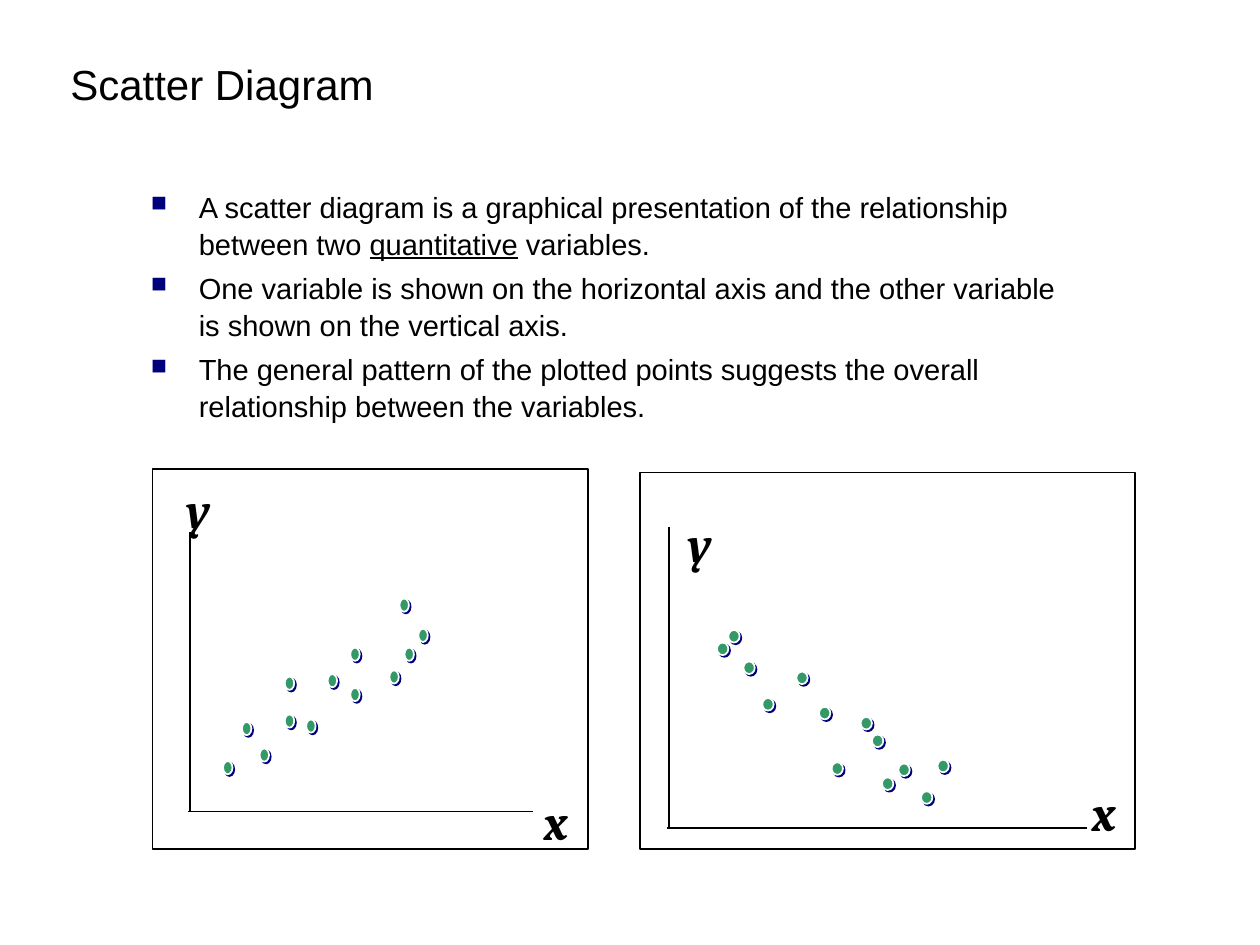
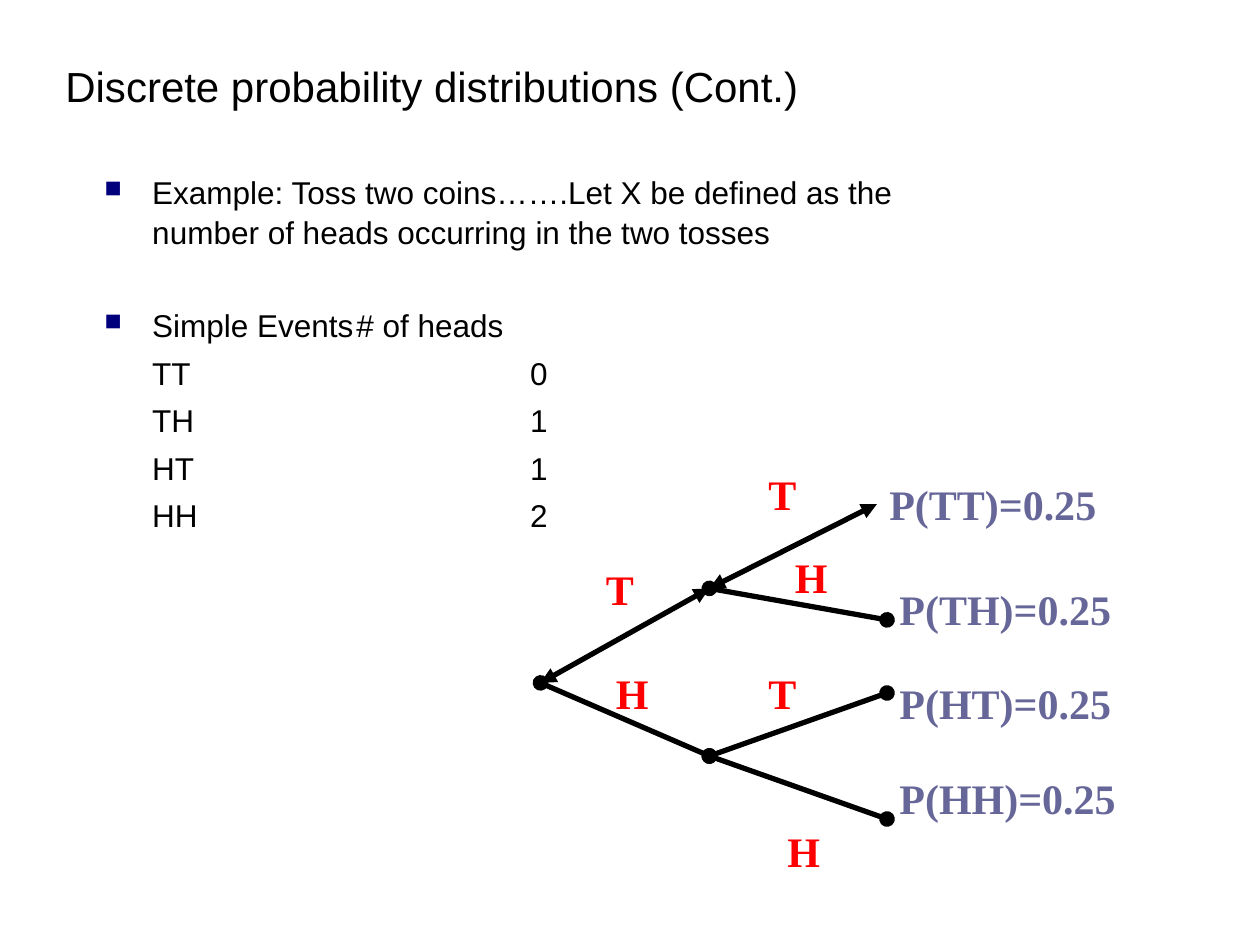
from dataclasses import dataclass
from typing import NamedTuple

from lxml.etree import SubElement
from pptx import Presentation
from pptx.dml.color import RGBColor
from pptx.enum.shapes import MSO_CONNECTOR as Connector, MSO_SHAPE as Preset
from pptx.enum.text import MSO_ANCHOR as Anchor
from pptx.oxml.ns import qn
from pptx.util import Emu, Inches, Pt

CELL = Inches(0.1)  # the slide is a grid of 100 columns by 75 rows
COLUMNS, ROWS = 100, 75

BLACK, WHITE, NAVY = "000000", "FFFFFF", "00007D"
GREEN, RED, SLATE = "339966", "FF0000", "666699"
INDENT = 3.8
BULLET_GAP = 4.5


class Point(NamedTuple):
    col: float
    row: float


class Box(NamedTuple):
    col: float
    row: float
    width: float
    height: float


class Style(NamedTuple):
    font: str
    size: float
    color: str = BLACK
    bold: bool = False
    italic: bool = False


TITLE = Style("Arial", 24)
AXIS_NAME = Style("Cambria", 28, bold=True, italic=True)
OUTCOME = Style("Times New Roman", 24, RED, bold=True)
PROBABILITY = Style("Times New Roman", 24, SLATE, bold=True)


@dataclass
class Item:
    """A body paragraph; the part of its text equal to underlined is underlined."""
    text: str
    underlined: str = ""
    bullet: bool = True
    space_before: float = BULLET_GAP
    tabs: tuple[float, ...] = ()


@dataclass
class ScatterPlot:
    frame: Box
    y_top: Point
    y_bottom: Point
    x_left: Point
    x_right: Point
    y_name: Point
    x_name: Point
    dot_width: float
    dot_height: float
    dots: list[Point]


@dataclass
class Branch:
    start: Point
    end: Point
    tip: str
    outcome: str
    outcome_at: Point


PLOTS = [
    ScatterPlot(
        Box(12.1, 37.2, 34.6, 30.2),
        Point(15.1, 42.2), Point(15.1, 64.4), Point(14.9, 64.4), Point(42.3, 64.4),
        Point(13.8, 37.6), Point(42.2, 62.3), 0.75, 1.05,
        [Point(17.7, 60.4), Point(19.2, 57.3), Point(20.6, 59.4), Point(22.6, 53.7),
         Point(22.6, 56.7), Point(24.3, 57.1), Point(26, 53.5), Point(27.8, 51.4),
         Point(27.8, 54.6), Point(30.9, 53.2), Point(31.7, 47.5), Point(32.1, 51.4),
         Point(33.2, 49.9)]),
    ScatterPlot(
        Box(50.8, 37.5, 39.3, 29.9),
        Point(53.1, 41.8), Point(53.1, 65.6), Point(52.9, 65.7), Point(86.3, 65.7),
        Point(53.6, 40.3), Point(85.7, 61.6), 0.9, 1,
        [Point(56.9, 51), Point(57.8, 50), Point(59, 52.5), Point(60.5, 55.4),
         Point(63.2, 53.3), Point(65, 56.1), Point(66, 60.5), Point(68.3, 56.9),
         Point(69.2, 58.3), Point(70, 61.7), Point(71.3, 60.6), Point(73.1, 62.8),
         Point(74.4, 60.3)]),
]

SCATTER_ITEMS = [
    Item("A scatter diagram is a graphical presentation of the relationship "
         "between two quantitative variables.", "quantitative", space_before=0),
    Item("One variable is shown on the horizontal axis and the other variable "
         "is shown on the vertical axis."),
    Item("The general pattern of the plotted points suggests the overall "
         "relationship between the variables."),
]

HEADS = {"TT": 0, "TH": 1, "HT": 1, "HH": 2}
HEADS_TABS = tuple(INDENT + 10 * step for step in range(4))
COIN_ITEMS = [
    Item("Example: Toss two coins…….Let X be defined as the number of heads "
         "occurring in the two tosses", space_before=0),
    Item("Simple Events\t# of heads", space_before=30.6, tabs=(16.2, 20)),
    *(Item(f"\t{event}\t\t\t{count}", bullet=False, tabs=HEADS_TABS)
      for event, count in HEADS.items()),
]

ROOT, FIRST_TAIL, FIRST_HEAD = Point(42.9, 54.2), Point(56.3, 46.7), Point(56.3, 60)
BRANCHES = [
    Branch(ROOT, FIRST_TAIL, "triangle", "T", Point(47.1, 44.2)),
    Branch(FIRST_TAIL, Point(69.6, 40), "triangle", "T", Point(60, 36.7)),
    Branch(FIRST_TAIL, Point(70.4, 49.2), "oval", "H", Point(62.1, 43.3)),
    Branch(FIRST_HEAD, Point(70.4, 65), "oval", "H", Point(61.5, 65)),
    Branch(ROOT, FIRST_HEAD, "oval", "H", Point(47.9, 52.5)),
    Branch(FIRST_HEAD, Point(70.4, 55), "oval", "T", Point(60, 52.5)),
]
PROBABILITY_AT = {"TT": Point(69.6, 37.5), "TH": Point(70.4, 45.8),
                  "HT": Point(70.4, 53.3), "HH": Point(70.4, 60.8)}


def cells(count: float) -> Emu:
    return Emu(round(count * CELL))


def rgb(color: str) -> RGBColor:
    return RGBColor.from_string(color)


def format_run(run, style: Style) -> None:
    font = run.font
    font.name, font.size = style.font, Pt(style.size)
    font.bold, font.italic = style.bold, style.italic
    font.color.rgb = rgb(style.color)


def add_frame(slide, box: Box):
    frame = slide.shapes.add_textbox(*map(cells, box)).text_frame
    frame.word_wrap = True
    return frame


def add_label(slide, text: str, box: Box, style: Style):
    frame = add_frame(slide, box)
    frame.text = text
    format_run(frame.paragraphs[0].runs[0], style)
    return frame


def add_title(slide, text: str, box: Box) -> None:
    add_label(slide, text, box, TITLE).vertical_anchor = Anchor.MIDDLE


def set_bullet_and_tabs(paragraph, item: Item) -> None:
    props = paragraph._p.get_or_add_pPr()
    if item.bullet:
        props.set("marL", str(cells(INDENT)))
        props.set("indent", str(-cells(INDENT)))
        color = SubElement(props, qn("a:buClr"))
        SubElement(color, qn("a:srgbClr"), val=NAVY)
        SubElement(props, qn("a:buSzPct"), val="75000")
        SubElement(props, qn("a:buChar"), char="■")
    if item.tabs:
        stops = SubElement(props, qn("a:tabLst"))
        for stop in item.tabs:
            SubElement(stops, qn("a:tab"), pos=str(cells(stop)), algn="l")


def add_body(slide, items: list[Item], box: Box, size: float) -> None:
    frame = add_frame(slide, box)
    for index, item in enumerate(items):
        paragraph = frame.add_paragraph() if index else frame.paragraphs[0]
        set_bullet_and_tabs(paragraph, item)
        paragraph.line_spacing = 1.05
        paragraph.space_before = Pt(item.space_before)
        parts = item.text.partition(item.underlined) if item.underlined else (item.text,)
        for part in parts:
            run = paragraph.add_run()
            run.text = part
            format_run(run, Style("Arial", size))
            if part == item.underlined:
                run.font.underline = True


def add_line(slide, start: Point, end: Point, width: float, tip: str = "") -> None:
    line = slide.shapes.add_connector(Connector.STRAIGHT, *map(cells, (*start, *end)))
    line.line.color.rgb = rgb(BLACK)
    line.line.width = Pt(width)
    props = line._element.spPr
    if tip:
        for tag in ("a:headEnd", "a:tailEnd"):
            SubElement(props.find(qn("a:ln")), qn(tag), type=tip)
    SubElement(props, qn("a:effectLst"))


def add_shape(slide, preset: Preset, box: Box, line: str, fill: str = ""):
    shape = slide.shapes.add_shape(preset, *map(cells, box))
    shape.shadow.inherit = False
    if fill:
        shape.fill.solid()
        shape.fill.fore_color.rgb = rgb(fill)
    else:
        shape.fill.background()
    shape.line.color.rgb = rgb(line)
    shape.line.width = Pt(1)
    return shape


def add_dot(slide, box: Box) -> None:
    dot = add_shape(slide, Preset.OVAL, box, WHITE, GREEN)
    effects = dot._element.spPr.find(qn("a:effectLst"))
    shadow = SubElement(effects, qn("a:outerShdw"), dist=str(Pt(1.4)),
                        dir=str(45 * 60000), algn="ctr", rotWithShape="0")
    SubElement(shadow, qn("a:srgbClr"), val=NAVY)


def add_plot(slide, plot: ScatterPlot) -> None:
    add_shape(slide, Preset.RECTANGLE, plot.frame, BLACK)
    add_line(slide, plot.y_top, plot.y_bottom, 1)
    add_line(slide, plot.x_right, plot.x_left, 1)
    for name, at in (("x", plot.x_name), ("y", plot.y_name)):
        add_label(slide, name, Box(*at, 5, 5.6), AXIS_NAME)
    for dot in plot.dots:
        add_dot(slide, Box(*dot, plot.dot_width, plot.dot_height))


def build_scatter_slide(slide) -> None:
    add_title(slide, "Scatter Diagram", Box(4.6, 3.5, 90, 6.3))
    add_body(slide, SCATTER_ITEMS, Box(11, 14.4, 75.3, 19.4), 16.6)
    for plot in PLOTS:
        add_plot(slide, plot)


def build_coin_slide(slide) -> None:
    add_title(slide, "Discrete probability distributions (Cont.)",
              Box(4.2, 3.9, 89.9, 5.8))
    add_body(slide, COIN_ITEMS, Box(7.3, 13.1, 71.2, 32.8), 18)
    for branch in BRANCHES:
        add_line(slide, branch.start, branch.end, 3, branch.tip)
    for branch in BRANCHES:
        add_label(slide, branch.outcome, Box(*branch.outcome_at, 5, 5), OUTCOME)
    for event, at in PROBABILITY_AT.items():
        add_label(slide, f"P({event})=0.25", Box(*at, 20, 5), PROBABILITY)


def main() -> None:
    deck = Presentation()
    deck.slide_width, deck.slide_height = cells(COLUMNS), cells(ROWS)
    blank = deck.slide_layouts[6]
    for build in (build_scatter_slide, build_coin_slide):
        build(deck.slides.add_slide(blank))
    deck.save("out.pptx")


if __name__ == "__main__":
    main()
